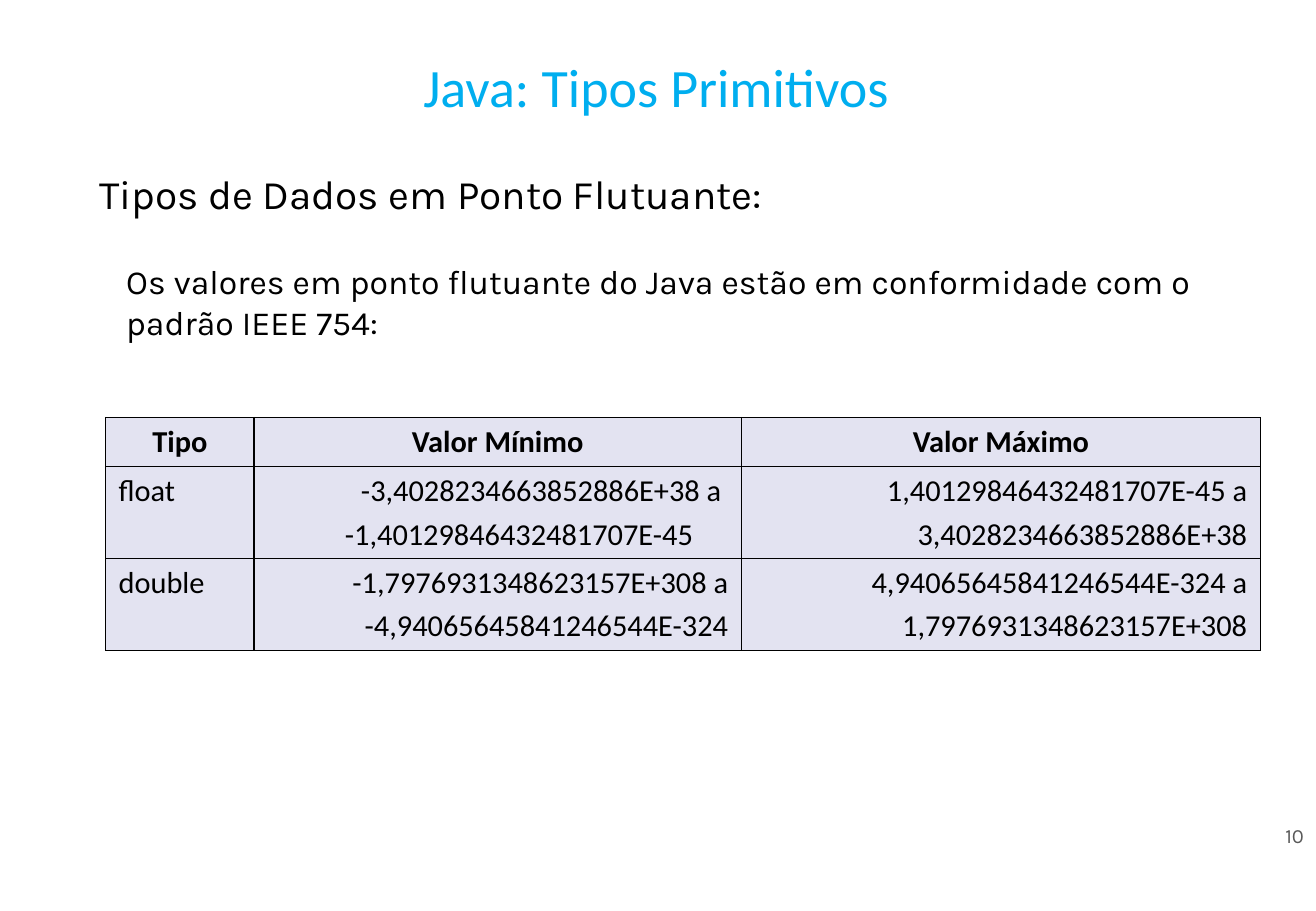
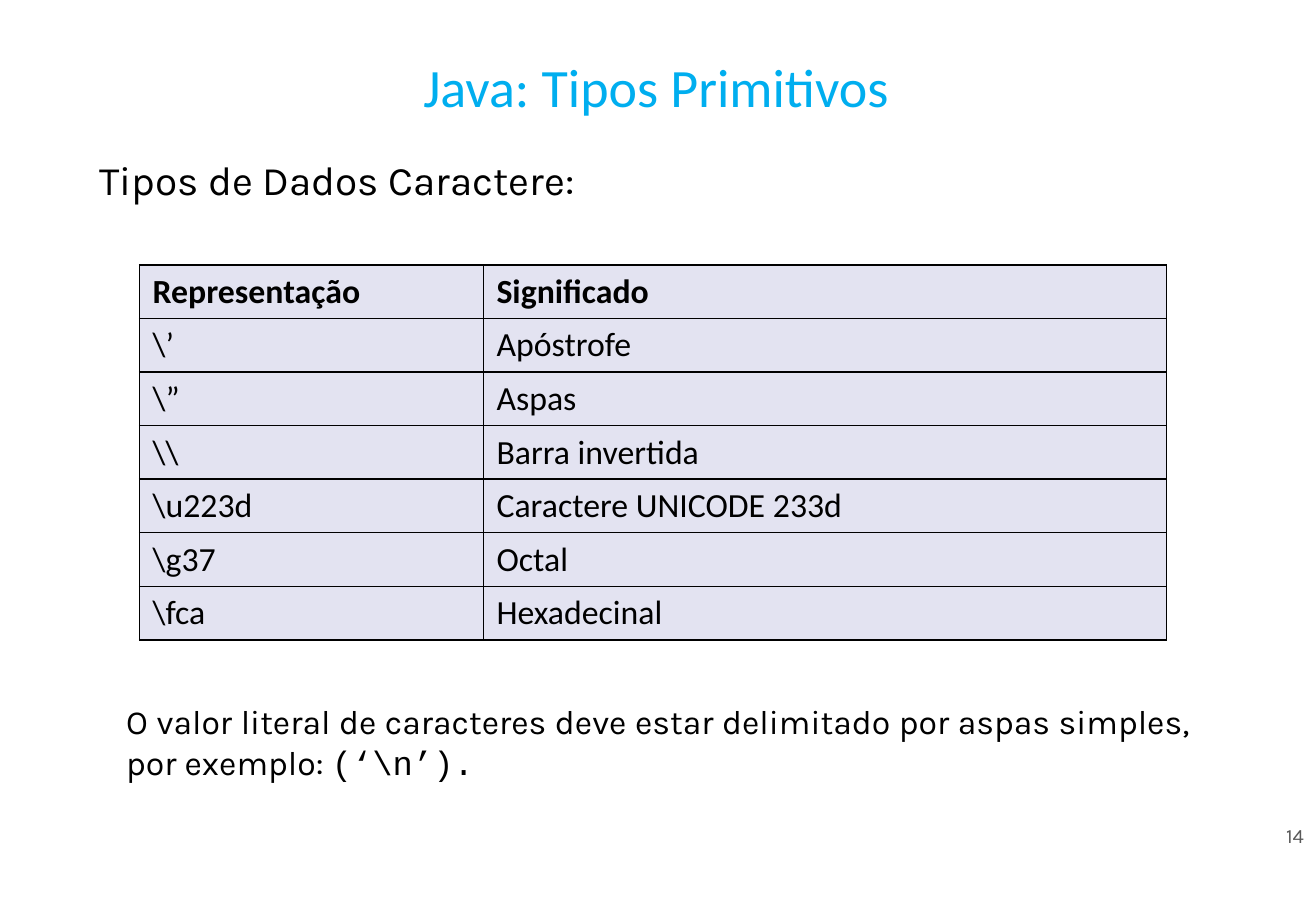
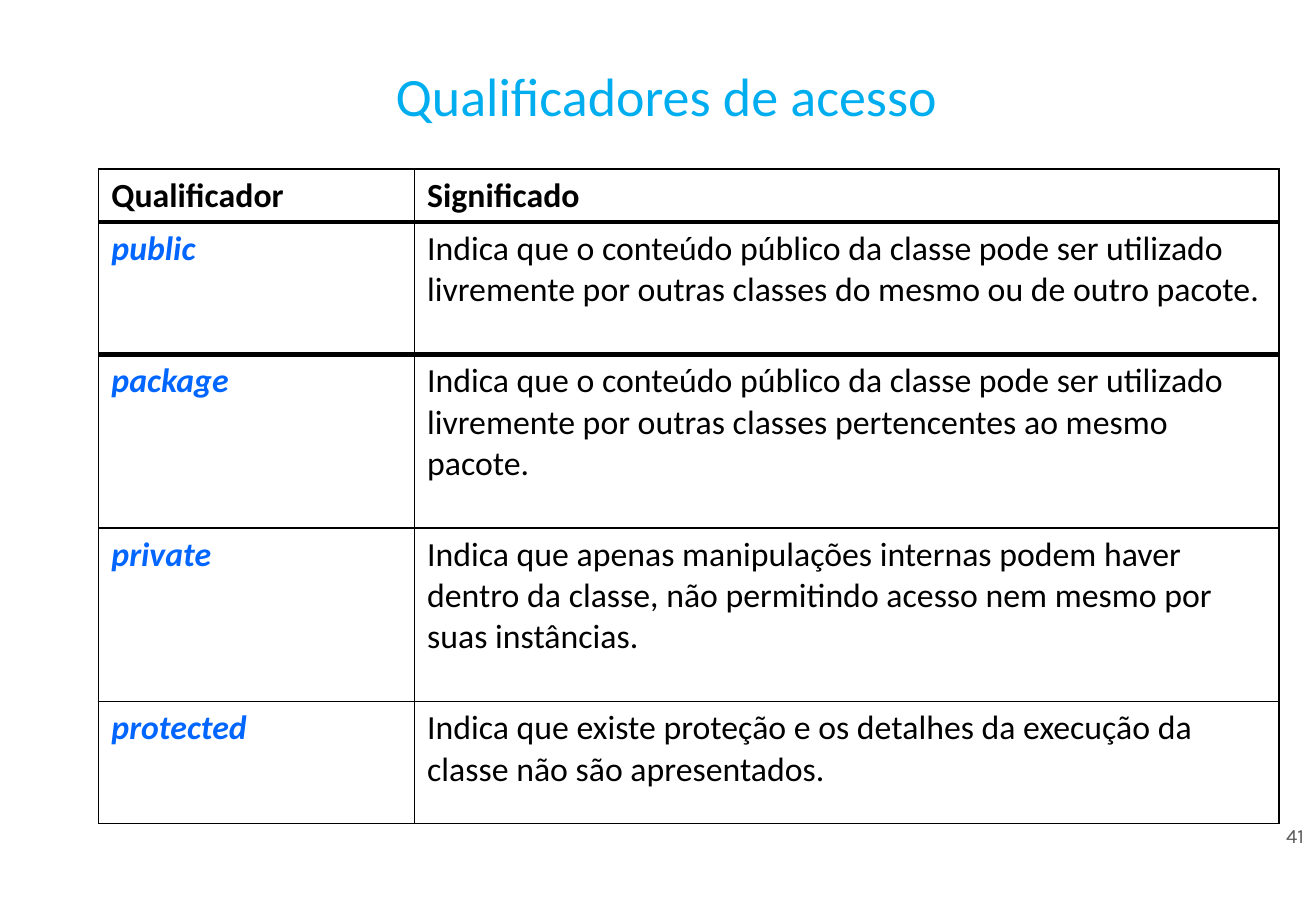
from dataclasses import dataclass, replace

from lxml import etree
from pptx import Presentation
from pptx.dml.color import RGBColor
from pptx.enum.text import MSO_ANCHOR, PP_ALIGN
from pptx.oxml.ns import qn
from pptx.util import Cm, Pt

LEFT, CENTER = PP_ALIGN.LEFT, PP_ALIGN.CENTER
RIGHT, JUSTIFY = PP_ALIGN.RIGHT, PP_ALIGN.JUSTIFY
TOP, MIDDLE = MSO_ANCHOR.TOP, MSO_ANCHOR.MIDDLE

COLORS = {
    "background": "FFFFFF",
    "title": "00AEEF",
    "text": "000000",
    "number": "595959",
    "keyword": "0066FF",
    "cell": "E3E3F1",
    "border": "000000",
}
THIN, THICK = 0.96, 3
BLANK = 6


@dataclass(frozen=True)
class Style:
    size: float
    font: str = "Calibri"
    color: str = "text"
    bold: bool = False
    italic: bool = False
    align: PP_ALIGN = LEFT
    before: float = 0
    anchor: MSO_ANCHOR = TOP
    indent: float = 0


@dataclass(frozen=True)
class Box:
    left: float
    top: float
    width: float
    height: float


@dataclass(frozen=True)
class Line:
    """One paragraph of a table cell."""
    text: str
    style: Style


@dataclass(frozen=True)
class Grid:
    left: float
    top: float
    cols: list[float]
    rows: list[float]
    cells: list[list[list[Line]]]
    fill: str | None = "cell"
    thick_below: tuple[int, ...] = ()


TITLE = Style(32, color="title", align=CENTER, anchor=MIDDLE)
HEADING = Style(24, "Karla", before=12)
BODY = Style(20, "Karla", align=JUSTIFY, before=10)
CODE = replace(BODY, font="Courier New")
NUMBER = Style(12, "Karla", "number", align=RIGHT, anchor=MIDDLE)

CELL = Style(20, before=4)
HEAD = replace(CELL, bold=True)
KEYWORD = replace(HEAD, color="keyword", italic=True)
FLOAT_CELL = Style(18, before=3.6)
FLOAT_HEAD = replace(FLOAT_CELL, bold=True, align=CENTER)
FLOAT_VALUE = replace(FLOAT_CELL, align=RIGHT)
FLOAT_INDENTED = replace(FLOAT_CELL, indent=1.63)

TITLE_BOX = Box(1.12, 0.71, 25.2, 2.16)
NUMBER_BOX = Box(24.77, 17.09, 2.74, 0.76)


def style_run(r, style: Style) -> None:
    r.font.size = Pt(style.size)
    r.font.name = style.font
    r.font.bold = style.bold
    r.font.italic = style.italic
    r.font.color.rgb = RGBColor.from_string(COLORS[style.color])


def style_paragraph(p, style: Style) -> None:
    p.alignment = style.align
    p.space_before = Pt(style.before)
    if style.indent:
        p._p.get_or_add_pPr().set("marL", str(Cm(style.indent)))
    for r in p.runs:
        style_run(r, style)


def add_text(slide, box: Box, text: str, style: Style):
    sp = slide.shapes.add_textbox(
        Cm(box.left), Cm(box.top), Cm(box.width), Cm(box.height))
    tf = sp.text_frame
    tf.word_wrap = True
    tf.vertical_anchor = style.anchor
    tf.text = text
    p = tf.paragraphs[0]
    style_paragraph(p, style)
    return p


def set_borders(cell, top: float, bottom: float) -> None:
    tc_pr = cell._tc.get_or_add_tcPr()
    sides = {"a:lnL": THIN, "a:lnR": THIN, "a:lnT": top, "a:lnB": bottom}
    for i, (tag, width) in enumerate(sides.items()):
        ln = etree.Element(qn(tag), w=str(Pt(width)))
        fill = etree.SubElement(ln, qn("a:solidFill"))
        etree.SubElement(fill, qn("a:srgbClr"), val=COLORS["border"])
        tc_pr.insert(i, ln)


def fill_cell(cell, lines: list[Line], fill: str | None) -> None:
    cell.margin_left = cell.margin_right = Cm(0.27)
    cell.margin_top = cell.margin_bottom = Cm(0.13)
    if fill:
        cell.fill.solid()
        cell.fill.fore_color.rgb = RGBColor.from_string(COLORS[fill])
    else:
        cell.fill.background()
    tf = cell.text_frame
    tf.text = "\n".join(line.text for line in lines)
    for p, line in zip(tf.paragraphs, lines):
        style_paragraph(p, line.style)


def add_grid(slide, grid: Grid) -> None:
    table = slide.shapes.add_table(
        len(grid.rows), len(grid.cols), Cm(grid.left), Cm(grid.top),
        Cm(sum(grid.cols)), Cm(sum(grid.rows))).table
    table.first_row = table.horz_banding = False
    for col, width in zip(table.columns, grid.cols):
        col.width = Cm(width)
    for i, (row, height) in enumerate(zip(table.rows, grid.rows)):
        row.height = Cm(height)
        top = THICK if i - 1 in grid.thick_below else THIN
        bottom = THICK if i in grid.thick_below else THIN
        for cell, lines in zip(row.cells, grid.cells[i]):
            fill_cell(cell, lines, grid.fill)
            set_borders(cell, top, bottom)


def two_columns(header: tuple[str, str], rows: list[tuple[str, str]],
                first: Style) -> list[list[list[Line]]]:
    """Cells of a term table; first is the style of the term column."""
    cells = [[[Line(text, HEAD)] for text in header]]
    cells += [[[Line(term, first)], [Line(meaning, CELL)]]
              for term, meaning in rows]
    return cells


def add_slide(prs, title: str, number: int, title_box: Box = TITLE_BOX):
    slide = prs.slides.add_slide(prs.slide_layouts[BLANK])
    slide.background.fill.solid()
    slide.background.fill.fore_color.rgb = RGBColor.from_string(
        COLORS["background"])
    add_text(slide, NUMBER_BOX, str(number), NUMBER)
    add_text(slide, title_box, title, TITLE)
    return slide


def add_floating_point(prs) -> None:
    slide = add_slide(prs, "Java: Tipos Primitivos", 10)
    add_text(slide, Box(1.83, 3.4, 22.76, 1.27),
             "Tipos de Dados em Ponto Flutuante:", HEADING)
    add_text(slide, Box(2.39, 5.33, 22.76, 1.96),
             "Os valores em ponto flutuante do Java estão em conformidade "
             "com o padrão IEEE 754:", BODY)
    header = ("Tipo", "Valor Mínimo", "Valor Máximo")
    cells = [
        [[Line(text, FLOAT_HEAD)] for text in header],
        [[Line("float", FLOAT_CELL)],
         [Line("-3,4028234663852886E+38 a ", FLOAT_VALUE),
          Line("-1,40129846432481707E-45", FLOAT_INDENTED)],
         [Line("1,40129846432481707E-45 a", FLOAT_VALUE),
          Line("3,4028234663852886E+38", FLOAT_VALUE)]],
        [[Line("double", FLOAT_CELL)],
         [Line("-1,7976931348623157E+308 a", FLOAT_VALUE),
          Line("-4,94065645841246544E-324", FLOAT_VALUE)],
         [Line("4,94065645841246544E-324 a", FLOAT_VALUE),
          Line("1,7976931348623157E+308", FLOAT_VALUE)]],
    ]
    add_grid(slide, Grid(2.21, 8.73, [3.1, 10.19, 10.85],
                         [1.03, 1.92, 1.92], cells))


def add_characters(prs) -> None:
    slide = add_slide(prs, "Java: Tipos Primitivos", 14)
    add_text(slide, Box(1.83, 3.12, 22.76, 1.27),
             "Tipos de Dados Caractere:", HEADING)
    p = add_text(slide, Box(2.39, 14.53, 22.76, 1.96),
                 "O valor literal de caracteres deve estar delimitado por "
                 "aspas simples, por exemplo: ", BODY)
    r = p.add_run()
    r.text = r"(‘\n’)."
    style_run(r, CODE)
    escapes = [
        (r"\’", "Apóstrofe"),
        (r"\”", "Aspas"),
        (r"\\", "Barra invertida"),
        (r"\u223d", "Caractere UNICODE 233d"),
        (r"\g37", "Octal"),
        (r"\fca", "Hexadecinal"),
    ]
    cells = two_columns(("Representação", "Significado"), escapes, CELL)
    add_grid(slide, Grid(2.92, 5.54, [7.19, 14.27],
                         [1.12] * len(cells), cells))


def add_qualifiers(prs) -> None:
    slide = add_slide(prs, "Qualificadores de acesso", 41,
                      Box(1.12, 0.91, 25.63, 2.16))
    qualifiers = [
        ("public", "Indica que o conteúdo público da classe pode ser "
         "utilizado livremente por outras classes do mesmo ou de outro "
         "pacote."),
        ("package", "Indica que o conteúdo público da classe pode ser "
         "utilizado livremente por outras classes pertencentes ao mesmo "
         "pacote."),
        ("private", "Indica que apenas manipulações internas podem haver "
         "dentro da classe, não permitindo acesso nem mesmo por suas "
         "instâncias."),
        ("protected", "Indica que existe proteção e os detalhes da execução "
         "da classe não são apresentados."),
    ]
    cells = two_columns(("Qualificador", "Significado"), qualifiers, KEYWORD)
    add_grid(slide, Grid(2.06, 3.53, [6.6, 18.08],
                         [1.11, 2.77, 3.63, 3.63, 2.55], cells,
                         fill=None, thick_below=(0, 1)))


def main() -> None:
    prs = Presentation()
    prs.slide_width, prs.slide_height = Cm(27.51), Cm(19.05)
    add_floating_point(prs)
    add_characters(prs)
    add_qualifiers(prs)
    prs.save("out.pptx")


if __name__ == "__main__":
    main()
